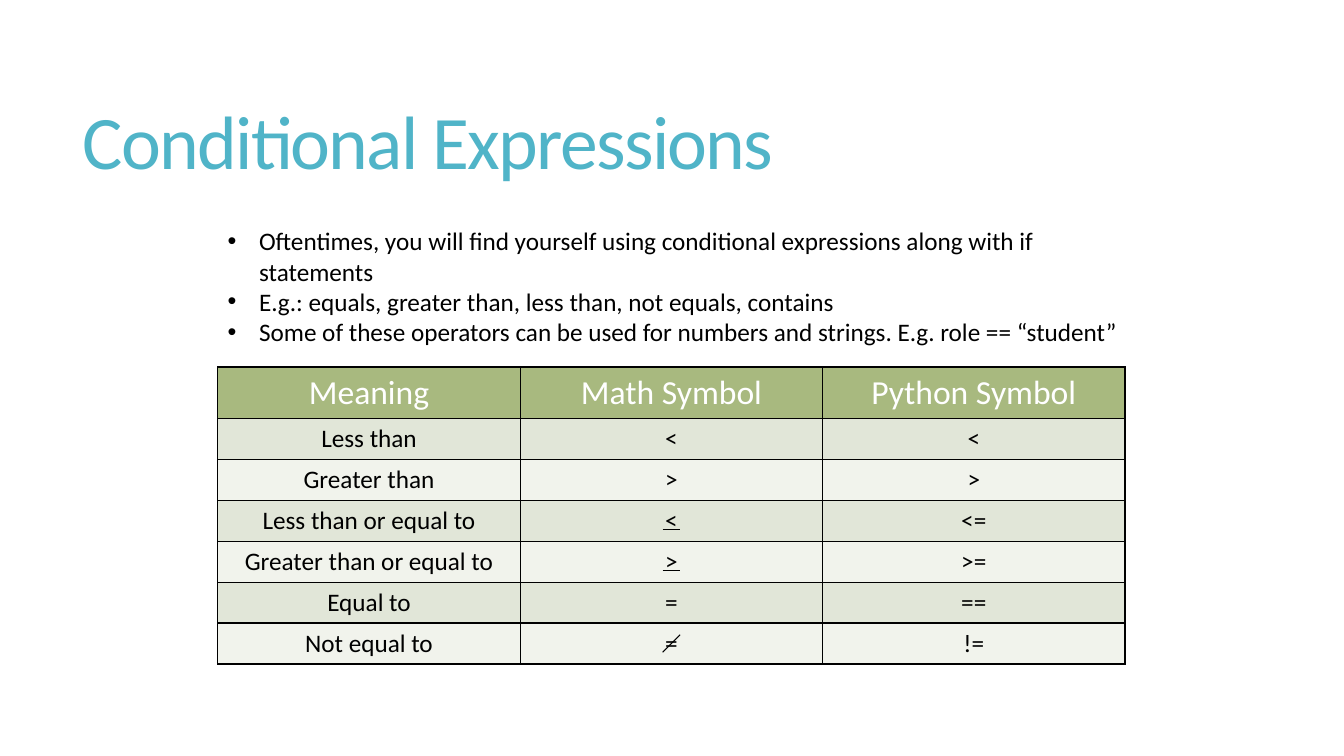
import lxml.etree
import pptx
import pptx.dml.color
import pptx.enum.shapes
import pptx.enum.text
import pptx.oxml
import pptx.oxml.ns
import pptx.util

Cm, Pt = pptx.util.Cm, pptx.util.Pt
FONT = "Calibri"
BLACK, WHITE, TEAL = "000000", "FFFFFF", "50B4C8"
HEADER_FILL = "A8B97F"
BAND_FILLS = ["E1E6D8", "F1F3EC"]

BULLETS = [
    "Oftentimes, you will find yourself using conditional expressions along with if statements",
    "E.g.: equals, greater than, less than, not equals, contains",
    "Some of these operators can be used for numbers and strings. E.g. role == “student”",
]
OPERATORS = [
    ("Meaning", "Math Symbol", "Python Symbol"),
    ("Less than", "<", "<"),
    ("Greater than", ">", ">"),
    ("Less than or equal to", "<", "<="),
    ("Greater than or equal to", ">", ">="),
    ("Equal to", "=", "=="),
    ("Not equal to", "=", "!="),
]
UNDERLINED_ROWS = [3, 4]
STRUCK_ROW = 6
HEADER_HEIGHT, ROW_HEIGHT = 1.3, 1.03


def color(hex_code):
    return pptx.dml.color.RGBColor.from_string(hex_code)


def format_para(para, size, hex_code):
    for span in para.runs:
        span.font.name = FONT
        span.font.size = Pt(size)
        span.font.color.rgb = color(hex_code)


def add_text_box(page, left, top, width, height):
    box = page.shapes.add_textbox(Cm(left), Cm(top), Cm(width), Cm(height))
    box.text_frame.word_wrap = True
    return box.text_frame


def add_title(page, left, top, width, height):
    frame = add_text_box(page, left, top, width, height)
    frame.vertical_anchor = pptx.enum.text.MSO_ANCHOR.MIDDLE
    frame.text = "Conditional Expressions"
    para = frame.paragraphs[0]
    para.line_spacing = 0.85
    format_para(para, 54, TEAL)
    # Tighter letter spacing
    para.runs[0].font._element.set("spc", "-120")


def add_bullets(page, left, top, width, height):
    frame = add_text_box(page, left, top, width, height)
    frame.text = "\n".join(BULLETS)
    for para in frame.paragraphs:
        format_para(para, 18, BLACK)
        # Hanging bullet
        settings = para._p.get_or_add_pPr()
        settings.set("marL", str(Cm(0.79)))
        settings.set("indent", str(-Cm(0.79)))
        for tag, key, value in [("a:buFont", "typeface", "Arial"), ("a:buChar", "char", "•")]:
            bullet = lxml.etree.SubElement(settings, pptx.oxml.ns.qn(tag))
            bullet.set(key, value)


def add_borders(cell):
    settings = cell._tc.get_or_add_tcPr()
    for side in ("lnL", "lnR", "lnT", "lnB"):
        settings.append(pptx.oxml.parse_xml(
            f'<a:{side} {pptx.oxml.ns.nsdecls("a")} w="{Pt(1)}"><a:solidFill>'
            f'<a:srgbClr val="{BLACK}"/></a:solidFill></a:{side}>'))


def add_stroke(page, x1, y1, x2, y2):
    stroke = page.shapes.add_connector(
        pptx.enum.shapes.MSO_CONNECTOR.STRAIGHT, Cm(x1), Cm(y1), Cm(x2), Cm(y2))
    stroke.line.color.rgb = color(BLACK)
    stroke.line.width = Pt(0.75)
    lxml.etree.SubElement(stroke._element.spPr, pptx.oxml.ns.qn("a:effectLst"))


def add_operator_table(page, left, top, width):
    row_count, column_count = len(OPERATORS), len(OPERATORS[0])
    height = HEADER_HEIGHT + (row_count - 1) * ROW_HEIGHT
    table = page.shapes.add_table(
        row_count, column_count, Cm(left), Cm(top), Cm(width), Cm(height)).table
    table.first_row = table.horz_banding = False

    # Header and banded rows
    for i, words in enumerate(OPERATORS):
        table.rows[i].height = Cm(ROW_HEIGHT if i else HEADER_HEIGHT)
        for j, word in enumerate(words):
            cell = table.cell(i, j)
            cell.text_frame.text = word
            para = cell.text_frame.paragraphs[0]
            para.alignment = pptx.enum.text.PP_ALIGN.CENTER
            format_para(para, 18 if i else 24, BLACK if i else WHITE)
            add_borders(cell)
            cell.fill.solid()
            cell.fill.fore_color.rgb = color(BAND_FILLS[(i - 1) % 2] if i else HEADER_FILL)

    # Strokes that complete the math symbols
    center, reach = left + width / 2, 0.22

    def row_middle(row):
        return top + HEADER_HEIGHT + (row - 0.5) * ROW_HEIGHT

    middle = row_middle(STRUCK_ROW)
    add_stroke(page, center + reach, middle - reach, center - reach, middle + reach)
    for row in UNDERLINED_ROWS:
        base = row_middle(row) + reach
        add_stroke(page, center - reach, base, center + reach, base)


def main():
    deck = pptx.Presentation()
    deck.slide_width, deck.slide_height = Cm(33.87), Cm(19.05)
    page = deck.slides.add_slide(deck.slide_layouts[6])
    add_title(page, 1.83, 1.4, 29.92, 4.6)
    add_operator_table(page, 5.49, 9.25, 22.86)
    add_bullets(page, 5.49, 5.56, 23.6, 2.57)
    deck.save("out.pptx")


if __name__ == "__main__":
    main()
